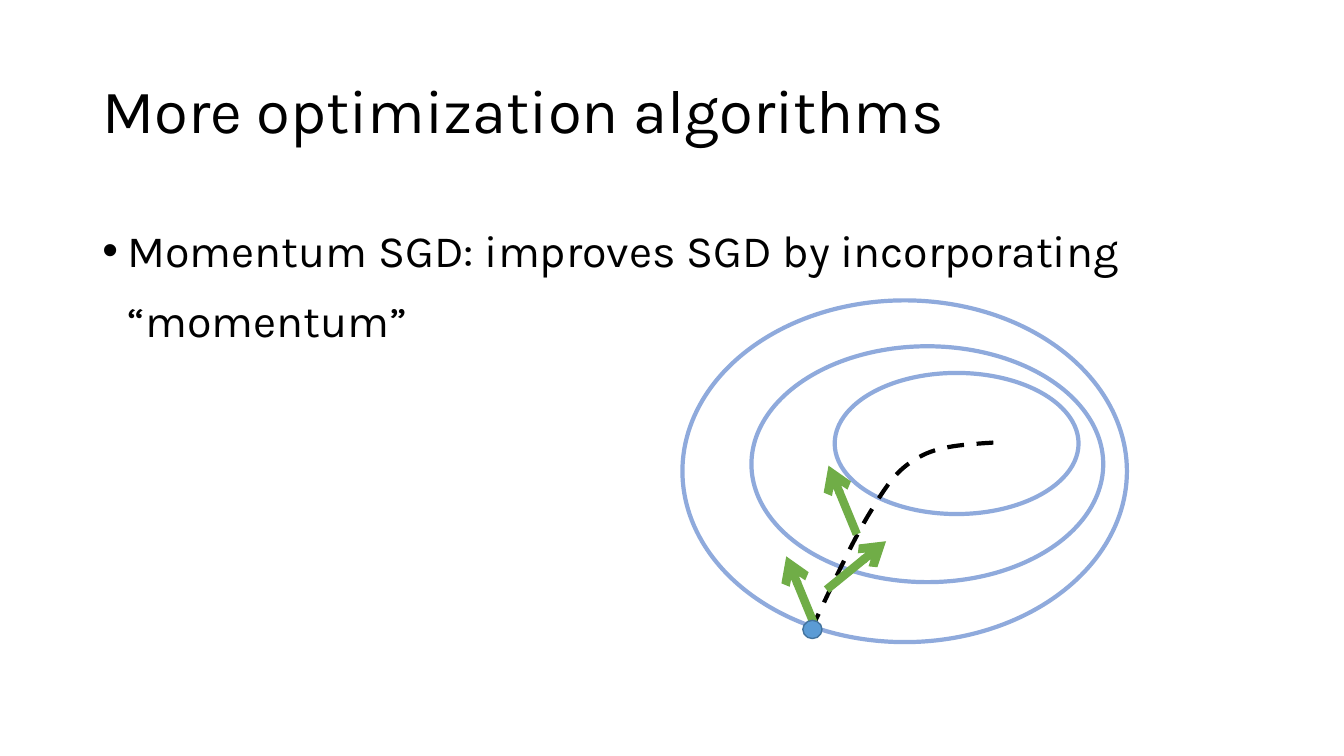
from pptx import Presentation
from pptx.dml.color import RGBColor
from pptx.enum.dml import MSO_LINE_DASH_STYLE as Dash
from pptx.enum.shapes import MSO_CONNECTOR as Connector, MSO_SHAPE as Shape
from pptx.enum.text import MSO_ANCHOR as Anchor
from pptx.oxml.ns import qn
from pptx.util import Pt
from lxml.etree import SubElement

BLACK = RGBColor(0x00, 0x00, 0x00)
CONTOUR_BLUE = RGBColor(0x8F, 0xAA, 0xDC)
ARROW_GREEN = RGBColor(0x70, 0xAD, 0x47)
DOT_FILL = RGBColor(0x5B, 0x9B, 0xD5)
DOT_LINE = RGBColor(0x43, 0x73, 0x9E)

deck = Presentation()
deck.slide_width, deck.slide_height = Pt(960), Pt(540)
page = deck.slides.add_slide(deck.slide_layouts[6])


def add_text(text, top, height, size, spacing, anchor=Anchor.TOP, bullet=False):
    box = page.shapes.add_textbox(Pt(66), Pt(top), Pt(828), Pt(height))
    box.text_frame.word_wrap = True
    box.text_frame.vertical_anchor = anchor
    para = box.text_frame.paragraphs[0]
    if bullet:
        props = para._p.get_or_add_pPr()
        props.set("marL", str(Pt(18)))
        props.set("indent", str(Pt(-18)))
        SubElement(props, qn("a:buFont"), typeface="Arial")
        SubElement(props, qn("a:buChar"), char="•")
    para.line_spacing = spacing
    span = para.add_run()
    span.text = text
    span.font.name = "Karla"
    span.font.size = Pt(size)
    span.font.color.rgb = BLACK


def add_ellipse(center_x, center_y, width, height, line, weight, fill=None):
    ellipse = page.shapes.add_shape(
        Shape.OVAL, Pt(center_x - width / 2), Pt(center_y - height / 2), Pt(width), Pt(height))
    ellipse.shadow.inherit = False
    if fill is None:
        ellipse.fill.background()
    else:
        ellipse.fill.solid()
        ellipse.fill.fore_color.rgb = fill
    ellipse.line.color.rgb = line
    ellipse.line.width = Pt(weight)


add_text("More optimization algorithms", 28.8, 104.4, 44, 0.9, anchor=Anchor.MIDDLE)
add_text("Momentum SGD: improves SGD by incorporating “momentum”", 144, 342.7, 32, 1.3, bullet=True)

# Loss contours, from the inside out
for contour in [(683.3, 316.8, 174.2, 100.8), (662.4, 331.6, 251.3, 168.5), (646.2, 336.6, 317.5, 244.1)]:
    add_ellipse(*contour, CONTOUR_BLUE, 3)

# Descent route: three cubic curves, each sampled in equal steps
route = [(579.6, 449.3), (594.7, 417.6), (609.1, 385.9), (622.1, 365), (634.3, 344.9),
         (641.5, 334.8), (655.9, 326.9), (670.3, 318.2), (690.5, 317.5), (709.9, 316.1)]
STEPS = 16
samples = []
for first in range(0, len(route) - 1, 3):
    for step in range(1, STEPS + 1):
        t = step / STEPS
        weights = ((1 - t) ** 3, 3 * t * (1 - t) ** 2, 3 * t ** 2 * (1 - t), t ** 3)
        controls = route[first:first + 4]
        samples.append(tuple(
            Pt(sum(weight * point[axis] for weight, point in zip(weights, controls)))
            for axis in (0, 1)))
builder = page.shapes.build_freeform(Pt(route[0][0]), Pt(route[0][1]))
builder.add_line_segments(samples, close=False)
descent = builder.convert_to_shape()
descent.shadow.inherit = False
descent.fill.background()
descent.line.color.rgb = BLACK
descent.line.width = Pt(3)
descent.line.dash_style = Dash.DASH

# Gradient steps
for start_x, start_y, end_x, end_y in [
        (581.8, 446.4, 561.6, 397.4), (590.4, 421.2, 632.9, 386.6), (612, 381.6, 591.8, 332.6)]:
    arrow = page.shapes.add_connector(
        Connector.STRAIGHT, Pt(start_x), Pt(start_y), Pt(end_x), Pt(end_y))
    arrow.line.color.rgb = ARROW_GREEN
    arrow.line.width = Pt(6)
    SubElement(arrow.line._get_or_add_ln(), qn("a:tailEnd"), type="arrow")
    SubElement(arrow._element.spPr, qn("a:effectLst"))

# Starting point
add_ellipse(580.3, 449.6, 13.7, 13, DOT_LINE, 1, fill=DOT_FILL)

deck.save("out.pptx")
